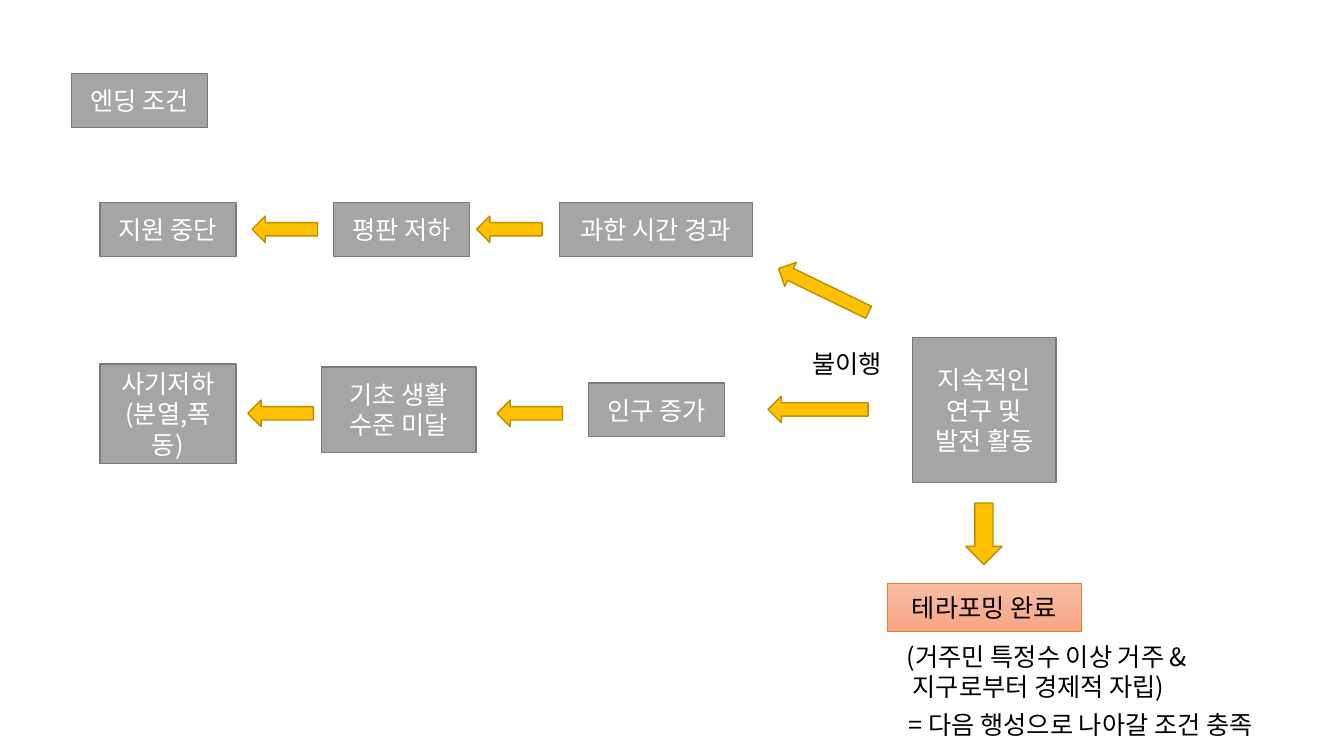
from lxml import etree
from pptx import Presentation
from pptx.dml.color import RGBColor
from pptx.enum.shapes import MSO_SHAPE
from pptx.enum.text import MSO_ANCHOR, MSO_AUTO_SIZE, PP_ALIGN
from pptx.oxml.ns import qn
from pptx.util import Pt

RECTANGLE = MSO_SHAPE.RECTANGLE
LEFT_ARROW = MSO_SHAPE.LEFT_ARROW
DOWN_ARROW = MSO_SHAPE.DOWN_ARROW
MIDDLE = MSO_ANCHOR.MIDDLE
NO_AUTOFIT = MSO_AUTO_SIZE.NONE
FIT_SHAPE = MSO_AUTO_SIZE.SHAPE_TO_FIT_TEXT
CENTER = PP_ALIGN.CENTER
LEFT = PP_ALIGN.LEFT

FONT = "Noto Sans CJK KR"
COLORS = {
    "gray": "A5A5A5", "gray line": "7A7A7A",
    "gold": "FFC000", "gold line": "BD8E00",
    "goal top": "F7BDA5", "goal bottom": "F8A582", "goal line": "ED7D31",
    "white": "FFFFFF", "black": "000000",
}
BOX_FRAME = {"word_wrap": True, "auto_size": NO_AUTOFIT, "vertical_anchor": MIDDLE}
NOTE_FRAME = {"word_wrap": False, "auto_size": FIT_SHAPE}


def write_text(shape, lines, color, alignment, frame_format):
    """Write one paragraph per line in the slide's font."""
    frame = shape.text_frame
    for name, value in frame_format.items():
        setattr(frame, name, value)
    frame.text = "\n".join(lines)
    font_format = {"name": FONT, "size": Pt(18), "bold": False}
    for paragraph in frame.paragraphs:
        paragraph.alignment = alignment
        for run in paragraph.runs:
            for name, value in font_format.items():
                setattr(run.font, name, value)
            run.font.color.rgb = RGBColor.from_string(COLORS[color])
            east_asian = etree.SubElement(run.font._element, qn("a:ea"))
            east_asian.set("typeface", FONT)


def paint(shape, fill, line, line_width=1):
    """Give a shape a solid fill and an outline, without shadow."""
    shape.shadow.inherit = False
    shape.fill.solid()
    shape.fill.fore_color.rgb = RGBColor.from_string(COLORS[fill])
    shape.line.color.rgb = RGBColor.from_string(COLORS[line])
    shape.line.width = Pt(line_width)


presentation = Presentation()
presentation.slide_width = Pt(960)
presentation.slide_height = Pt(540)
slide = presentation.slides.add_slide(presentation.slide_layouts[5])
shapes = slide.shapes

# Title
title = shapes.title
title_place = {"left": 51, "top": 52.6, "width": 97.2, "height": 38.4}
for name, value in title_place.items():
    setattr(title, name, Pt(value))
paint(title, "gray", "gray line")
write_text(title, ["엔딩 조건"], "white", CENTER, BOX_FRAME)

# Conditions: left, top, width, height, lines
conditions = [
    (238.3, 144.7, 97.2, 38.4, ["평판 저하"]),
    (71.3, 260, 97.2, 71.3, ["사기저하", "(분열,폭동)"]),
    (71.3, 144.7, 97.2, 38.4, ["지원 중단"]),
    (399.6, 144.7, 137.8, 38.4, ["과한 시간 경과"]),
    (652, 241, 102.2, 103.7, ["지속적인 연구 및", "발전 활동"]),
    (420.4, 273.6, 97.2, 38.4, ["인구 증가"]),
    (229.7, 262, 110.5, 61.2, ["기초 생활 수준 미달"]),
]
for *place, lines in conditions:
    box = shapes.add_shape(RECTANGLE, *map(Pt, place))
    paint(box, "gray", "gray line")
    write_text(box, lines, "white", CENTER, BOX_FRAME)

# Goal
goal = shapes.add_shape(RECTANGLE, Pt(633.6), Pt(417), Pt(139), Pt(34))
paint(goal, "gray", "goal line", 0.5)
goal.fill.gradient()
goal.fill.gradient_angle = 270
for stop, color in zip(goal.fill.gradient_stops, ("goal top", "goal bottom")):
    stop.color.rgb = RGBColor.from_string(COLORS[color])
write_text(goal, ["테라포밍 완료"], "black", CENTER, BOX_FRAME)

# Arrows: kind, left, top, width, height, rotation
arrows = [
    (DOWN_ARROW, 689.8, 359.3, 26, 44, 0),
    (LEFT_ARROW, 548.6, 283, 71.5, 19, 0),
    (LEFT_ARROW, 355, 285.8, 46.8, 19, 0),
    (LEFT_ARROW, 177, 285.8, 46.8, 19, 0),
    (LEFT_ARROW, 340.4, 154.3, 46.8, 19, 0),
    (LEFT_ARROW, 180, 154.3, 46.8, 19, 0),
    (LEFT_ARROW, 552.5, 198, 71.5, 19, 25.9),
]
for kind, *place, rotation in arrows:
    arrow = shapes.add_shape(kind, *map(Pt, place))
    arrow.rotation = rotation
    paint(arrow, "gold", "gold line")

# Notes: left, top, width, height, lines
notes = [
    (640.8, 454.3, 242.6, 51, ["(거주민 특정수 이상 거주 &", " 지구로부터 경제적 자립)"]),
    (573, 245.5, 69, 29, ["불이행"]),
    (642.2, 503.3, 296, 29, ["= 다음 행성으로 나아갈 조건 충족"]),
]
for *place, lines in notes:
    note = shapes.add_textbox(*map(Pt, place))
    write_text(note, lines, "black", LEFT, NOTE_FRAME)

presentation.save("out.pptx")
